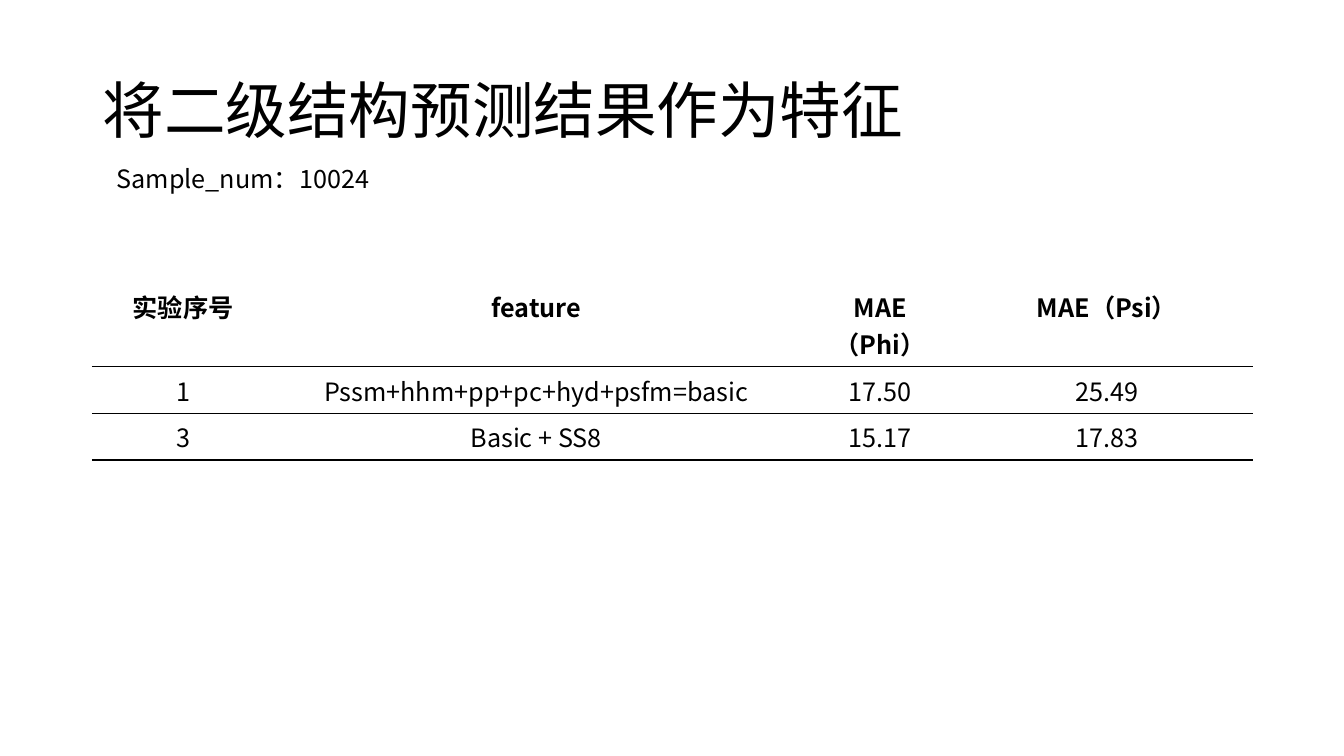
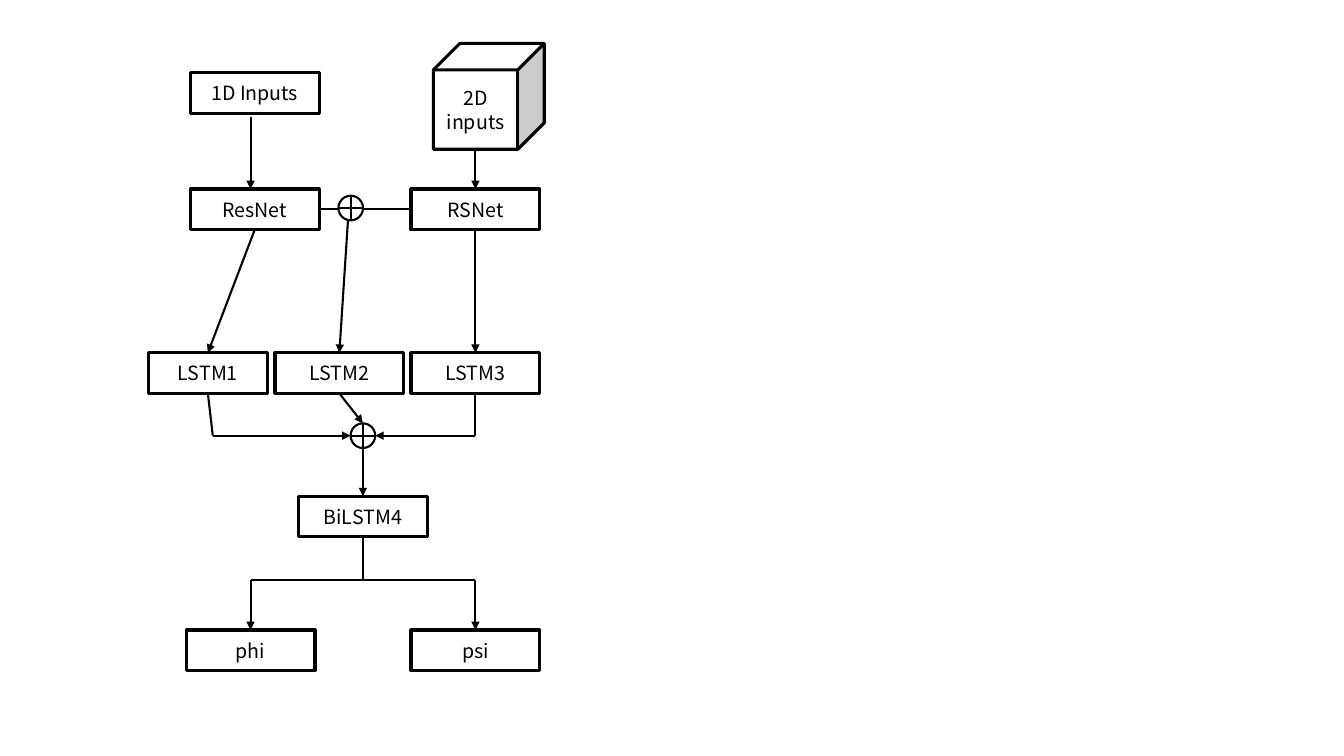
from lxml import etree
from pptx import Presentation
from pptx.dml.color import RGBColor
from pptx.enum import shapes, text
from pptx.oxml import ns
from pptx.util import Pt

FONT = "Noto Sans CJK SC"
COLORS = {"ink": "000000", "paper": "FFFFFF"}
SLIDE_SIZE = (960, 540)

# Slide 1 content
TITLE = "将二级结构预测结果作为特征"
SAMPLE = "Sample_num：10024"
RESULTS = [
    ("实验序号", "feature", "MAE（Phi）", "MAE（Psi）"),
    ("1", "Pssm+hhm+pp+pc+hyd+psfm=basic", "17.50", "25.49"),
    ("3", "Basic + SS8", "15.17", "17.83"),
]
COLUMN_WIDTHS = (129.5, 375, 116.5, 207.5)
ROW_HEIGHTS = (59.5, 33.3, 33.3)  # the heading row holds two lines

# Slide 2 content: label, centre x, top, width
BOX_W, BOX_H = 92, 29
LEFT, RIGHT, MIDDLE = 179, 339.6, 259.2
INPUT_Y, RESNET_Y, LSTM_Y, BILSTM_Y, OUTPUT_Y = 52, 135, 252, 354.4, 450
MERGE_Y, SPLIT_Y = 311.2, 414
BOXES = [
    ("1D Inputs", 182, INPUT_Y, BOX_W),
    ("ResNet", 182, RESNET_Y, BOX_W),
    ("RSNet", RIGHT, RESNET_Y, BOX_W),
    ("LSTM1", 148.5, LSTM_Y, 85),
    ("LSTM2", 242.4, LSTM_Y, BOX_W),
    ("LSTM3", RIGHT, LSTM_Y, BOX_W),
    ("BiLSTM4", MIDDLE, BILSTM_Y, BOX_W),
    ("phi", LEFT, OUTPUT_Y, BOX_W),
    ("psi", RIGHT, OUTPUT_Y, BOX_W),
]
CUBE = ("2D inputs", (309.6, 31, 79.2, 75.6))
JOINT_D = 17.6
JOINT_R = JOINT_D / 2
JOINTS = [(250.5, 148.6), (MIDDLE, MERGE_Y)]

# An end is a point, or a box label with its side
TOP, WEST, BOTTOM, EAST = range(4)
WIRES = [  # from, to, arrowhead
    ((LEFT, 83.5), (LEFT, RESNET_Y), True),
    ((RIGHT, 106.6), ("RSNet", TOP), True),
    (("ResNet", EAST), ("RSNet", WEST), False),
    (("ResNet", BOTTOM), ("LSTM1", TOP), True),
    ((249, 150.5), ("LSTM2", TOP), True),
    (("RSNet", BOTTOM), ("LSTM3", TOP), True),
    (("LSTM1", BOTTOM), (152, MERGE_Y), False),
    ((152, MERGE_Y), (MIDDLE - JOINT_R, MERGE_Y), True),
    (("LSTM2", BOTTOM), (MIDDLE, MERGE_Y - JOINT_R), True),
    (("LSTM3", BOTTOM), (RIGHT, MERGE_Y), False),
    ((RIGHT, MERGE_Y), (MIDDLE + JOINT_R, MERGE_Y), True),
    ((MIDDLE, MERGE_Y + JOINT_R), ("BiLSTM4", TOP), True),
    (("BiLSTM4", BOTTOM), (MIDDLE, SPLIT_Y), False),
    ((LEFT, SPLIT_Y), (RIGHT, SPLIT_Y), False),
    ((LEFT, SPLIT_Y), ("phi", TOP), True),
    ((RIGHT, SPLIT_Y), ("psi", TOP), True),
]


def rgb(name):
    return RGBColor.from_string(COLORS[name])


def write(frame, words, size=18, bold=False, align=text.PP_ALIGN.LEFT,
          anchor=text.MSO_ANCHOR.TOP, spacing=None):
    frame.word_wrap = True
    frame.vertical_anchor = anchor
    paragraph = frame.paragraphs[0]
    paragraph.alignment = align
    paragraph.line_spacing = spacing
    run = paragraph.add_run()
    run.text = words
    run.font.size, run.font.bold, run.font.name = Pt(size), bold, FONT
    run.font.color.rgb = rgb("ink")
    east_asian = etree.SubElement(run.font._element, ns.qn("a:ea"))
    east_asian.set("typeface", FONT)


def border(cell, side, color):
    props = cell._tc.get_or_add_tcPr()
    edge = etree.Element(ns.qn("a:ln" + side), w=str(Pt(1)))
    fill = etree.SubElement(edge, ns.qn("a:solidFill"))
    etree.SubElement(fill, ns.qn("a:srgbClr"), val=COLORS[color])
    props.append(edge)


def add_part(slide, kind, box, words=None, line=2.25):
    part = slide.shapes.add_shape(kind, *map(Pt, box))
    part.shadow.inherit = False
    part.fill.solid()
    part.fill.fore_color.rgb = rgb("paper")
    part.line.color.rgb = rgb("ink")
    part.line.width = Pt(line)
    if words:
        write(part.text_frame, words, size=14, align=text.PP_ALIGN.CENTER,
              anchor=text.MSO_ANCHOR.MIDDLE)
    return part


def add_wire(slide, boxes, start, end, arrow):
    points = [(0, 0) if e[0] in boxes else e for e in (start, end)]
    wire = slide.shapes.add_connector(
        shapes.MSO_CONNECTOR.STRAIGHT, *(Pt(v) for p in points for v in p))
    for place, connect in ((start, wire.begin_connect), (end, wire.end_connect)):
        if place[0] in boxes:
            connect(boxes[place[0]], place[1])
    wire.line.color.rgb = rgb("ink")
    wire.line.width = Pt(1.5)
    if arrow:
        etree.SubElement(wire.line._get_or_add_ln(), ns.qn("a:tailEnd"),
                         type="triangle")
    etree.SubElement(wire._element.spPr, ns.qn("a:effectLst"))


def results_slide(prs):
    slide = prs.slides.add_slide(prs.slide_layouts[5])

    # Title and sample count
    title = slide.shapes.title
    title.left, title.top, title.width, title.height = map(Pt, (66, 28.8, 828, 104.4))
    title.text_frame.auto_size = text.MSO_AUTO_SIZE.NONE
    write(title.text_frame, TITLE, size=44, spacing=0.9,
          anchor=text.MSO_ANCHOR.MIDDLE)
    sample = slide.shapes.add_textbox(*map(Pt, (76.2, 113, 245.5, 29)))
    write(sample.text_frame, SAMPLE)

    # Results table
    table = slide.shapes.add_table(
        len(RESULTS), len(COLUMN_WIDTHS), Pt(66), Pt(202.5),
        Pt(sum(COLUMN_WIDTHS)), Pt(sum(ROW_HEIGHTS))).table
    table.first_row = table.horz_banding = False
    for column, width in zip(table.columns, COLUMN_WIDTHS):
        column.width = Pt(width)
    for r, (row, height) in enumerate(zip(RESULTS, ROW_HEIGHTS)):
        table.rows[r].height = Pt(height)
        for c, value in enumerate(row):
            cell = table.cell(r, c)
            write(cell.text_frame, value, bold=r == 0, align=text.PP_ALIGN.CENTER)
            for side in "LRTB":
                ruled = side == "B" or (side == "T" and r > 0)
                border(cell, side, "ink" if ruled else "paper")
            cell.fill.solid()
            cell.fill.fore_color.rgb = rgb("paper")


def network_slide(prs):
    slide = prs.slides.add_slide(prs.slide_layouts[6])
    kinds = shapes.MSO_SHAPE

    # Network blocks
    boxes = {}
    for label, centre, top, width in BOXES:
        boxes[label] = add_part(slide, kinds.RECTANGLE,
                                (centre - width / 2, top, width, BOX_H), label)
    label, place = CUBE
    add_part(slide, kinds.CUBE, place, label)

    # Wires, then the joints that cover their ends
    for start, end, arrow in WIRES:
        add_wire(slide, boxes, start, end, arrow)
    for x, y in JOINTS:
        add_part(slide, kinds.FLOWCHART_OR,
                 (x - JOINT_R, y - JOINT_R, JOINT_D, JOINT_D), line=1.5)


def main():
    prs = Presentation()
    prs.slide_width, prs.slide_height = map(Pt, SLIDE_SIZE)
    results_slide(prs)
    network_slide(prs)
    prs.save("out.pptx")


if __name__ == "__main__":
    main()
